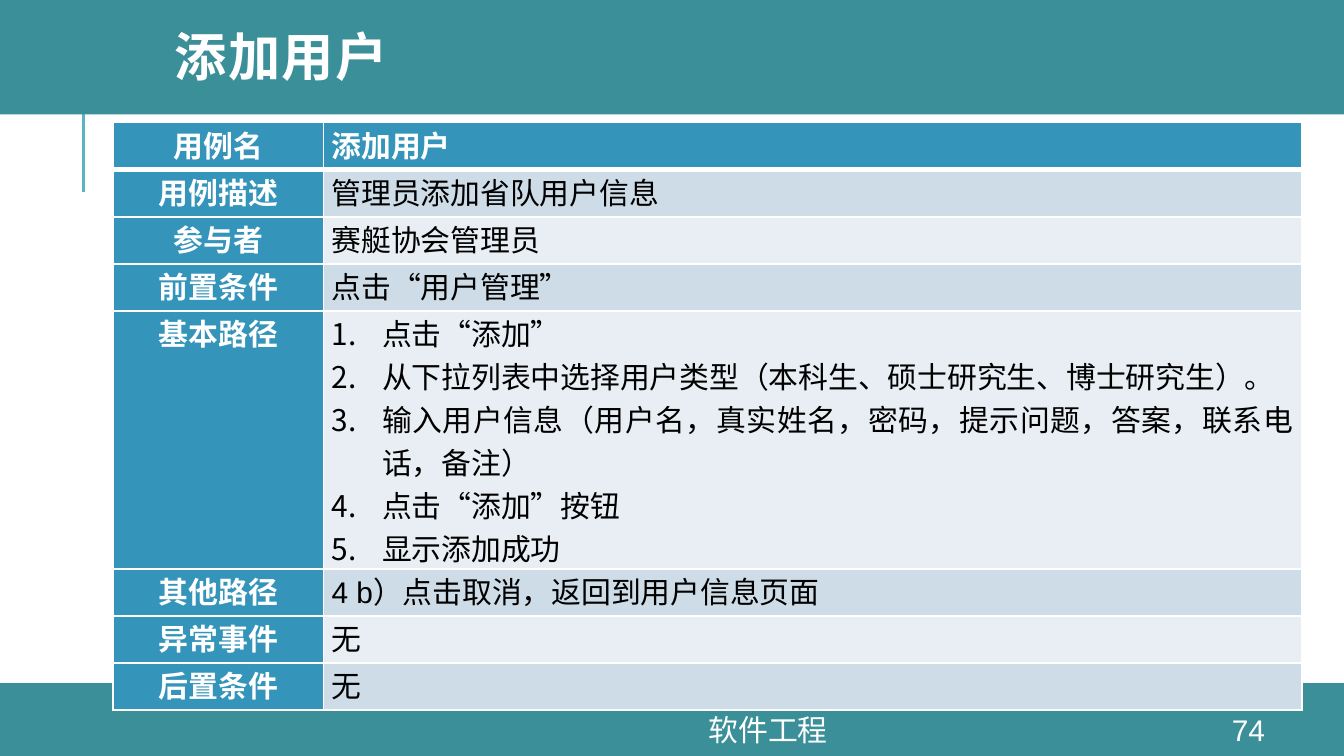
import pptx
import pptx.util
import pptx.dml.color
import pptx.enum.shapes
import pptx.enum.text
import pptx.oxml.ns
import lxml.etree

Pt = pptx.util.Pt
RGBColor = pptx.dml.color.RGBColor
Align = pptx.enum.text.PP_ALIGN
Anchor = pptx.enum.text.MSO_ANCHOR
qn = pptx.oxml.ns.qn

WHITE = RGBColor(0xFF, 0xFF, 0xFF)
BLACK = RGBColor(0, 0, 0)
BAND_TEAL = RGBColor(0x3A, 0x8F, 0x98)
RULE_TEAL = RGBColor(0x58, 0xB6, 0xC0)
HEAD_BLUE = RGBColor(0x34, 0x94, 0xBA)
STRIPES = (RGBColor(0xE8, 0xEE, 0xF3), RGBColor(0xCE, 0xDC, 0xE7))

SLIDE_WIDTH, SLIDE_HEIGHT = 720, 405
ROW_HEIGHT, STEPS_HEIGHT = 25.2, 125
STEP_INDENT = 27

USE_CASE = [
    ("用例名", ["添加用户"]),
    ("用例描述", ["管理员添加省队用户信息"]),
    ("参与者", ["赛艇协会管理员"]),
    ("前置条件", ["点击“用户管理”"]),
    ("基本路径", [
        "点击“添加”",
        "从下拉列表中选择用户类型（本科生、硕士研究生、博士研究生）。",
        "输入用户信息（用户名，真实姓名，密码，提示问题，答案，联系电话，备注）",
        "点击“添加”按钮",
        "显示添加成功",
    ]),
    ("其他路径", ["4 b）点击取消，返回到用户信息页面"]),
    ("异常事件", ["无"]),
    ("后置条件", ["无"]),
]


def add_run(paragraph, text, color, size=16, font="Arial", bold=False):
    run = paragraph.add_run()
    run.text = text
    run.font.size = Pt(size)
    run.font.name = font
    run.font.bold = bold
    run.font.color.rgb = color
    return run


def add_band(slide, top, height):
    band = slide.shapes.add_shape(pptx.enum.shapes.MSO_SHAPE.RECTANGLE,
                                  0, Pt(top), Pt(SLIDE_WIDTH), Pt(height))
    band.shadow.inherit = False
    band.fill.solid()
    band.fill.fore_color.rgb = BAND_TEAL
    band.line.fill.background()


def add_rule(slide, x, start, end):
    rule = slide.shapes.add_connector(pptx.enum.shapes.MSO_CONNECTOR.STRAIGHT,
                                      Pt(x), Pt(start), Pt(x), Pt(end))
    rule.line.color.rgb = RULE_TEAL
    rule.line.width = Pt(1.5)
    lxml.etree.SubElement(rule._element.spPr, qn("a:effectLst"))


def set_title(slide, text):
    title = slide.shapes.title
    title.left, title.top, title.width, title.height = Pt(86.4), 0, Pt(611.3), Pt(65.5)
    frame = title.text_frame
    frame.word_wrap = True
    frame.vertical_anchor = Anchor.MIDDLE
    heading = frame.paragraphs[0]
    heading.alignment = Align.LEFT
    heading.line_spacing = 0.8
    run = add_run(heading, text, WHITE, 28, "Montserrat", True)
    run.font._element.set("spc", "80")


def add_footer(slide, text, left, width):
    footer = slide.shapes.add_textbox(Pt(left), Pt(382.3), Pt(width), Pt(16.6))
    frame = footer.text_frame
    frame.word_wrap = True
    frame.vertical_anchor = Anchor.MIDDLE
    frame.margin_top = frame.margin_bottom = 0
    frame.paragraphs[0].alignment = Align.CENTER
    add_run(frame.paragraphs[0], text, WHITE)


def set_borders(cell, row):
    """White borders; the one under the header row is thicker."""
    widths = {"L": 1, "R": 1, "T": 3 if row == 1 else 1, "B": 3 if row == 0 else 1}
    properties = cell._tc.get_or_add_tcPr()
    for position, (side, width) in enumerate(widths.items()):
        border = lxml.etree.Element(qn("a:ln" + side), w=str(Pt(width)))
        fill = lxml.etree.SubElement(border, qn("a:solidFill"))
        lxml.etree.SubElement(fill, qn("a:srgbClr"), val=str(WHITE))
        properties.insert(position, border)


def number_paragraph(paragraph):
    properties = paragraph._p.get_or_add_pPr()
    properties.set("marL", str(Pt(STEP_INDENT)))
    properties.set("indent", str(-Pt(STEP_INDENT)))
    lxml.etree.SubElement(properties, qn("a:buFont"), typeface="+mj-lt")
    lxml.etree.SubElement(properties, qn("a:buAutoNum"), type="arabicPeriod")


def fill_cell(cell, row, lines, alignment, background, color, bold):
    cell.margin_left = cell.margin_right = Pt(4.3)
    cell.margin_top = cell.margin_bottom = 0
    cell.fill.solid()
    cell.fill.fore_color.rgb = background
    set_borders(cell, row)
    frame = cell.text_frame
    for index, line in enumerate(lines):
        paragraph = frame.add_paragraph() if index else frame.paragraphs[0]
        paragraph.alignment = alignment
        if len(lines) > 1:
            number_paragraph(paragraph)
        add_run(paragraph, line, color, bold=bold)


def add_use_case_table(slide):
    heights = [STEPS_HEIGHT if len(lines) > 1 else ROW_HEIGHT for _, lines in USE_CASE]
    table = slide.shapes.add_table(len(USE_CASE), 2, Pt(60.6), Pt(65.7),
                                   Pt(637), Pt(sum(heights))).table
    table.columns[0].width = Pt(112.8)
    table.columns[1].width = Pt(524.2)
    for row, (label, lines) in enumerate(USE_CASE):
        table.rows[row].height = Pt(heights[row])
        header = row == 0
        fill_cell(table.cell(row, 0), row, [label], Align.CENTER, HEAD_BLUE, WHITE, True)
        fill_cell(table.cell(row, 1), row, lines, Align.JUSTIFY,
                  HEAD_BLUE if header else STRIPES[row % 2],
                  WHITE if header else BLACK, header)


def main():
    deck = pptx.Presentation()
    deck.slide_width, deck.slide_height = Pt(SLIDE_WIDTH), Pt(SLIDE_HEIGHT)
    slide = deck.slides.add_slide(deck.slide_layouts[5])

    # Background bands and side rule
    add_rule(slide, 44.9, 103, 49)
    add_band(slide, 366, 39)
    add_band(slide, -2, 63.3)

    # Title, moved in front of the bands
    set_title(slide, "添加用户")
    slide.shapes._spTree.append(slide.shapes.title._element)

    # Use case description
    add_use_case_table(slide)

    # Footer and page number
    add_footer(slide, "软件工程", 187.9, 447.1)
    add_footer(slide, "74", 640, 57.6)

    deck.save("out.pptx")


if __name__ == "__main__":
    main()
